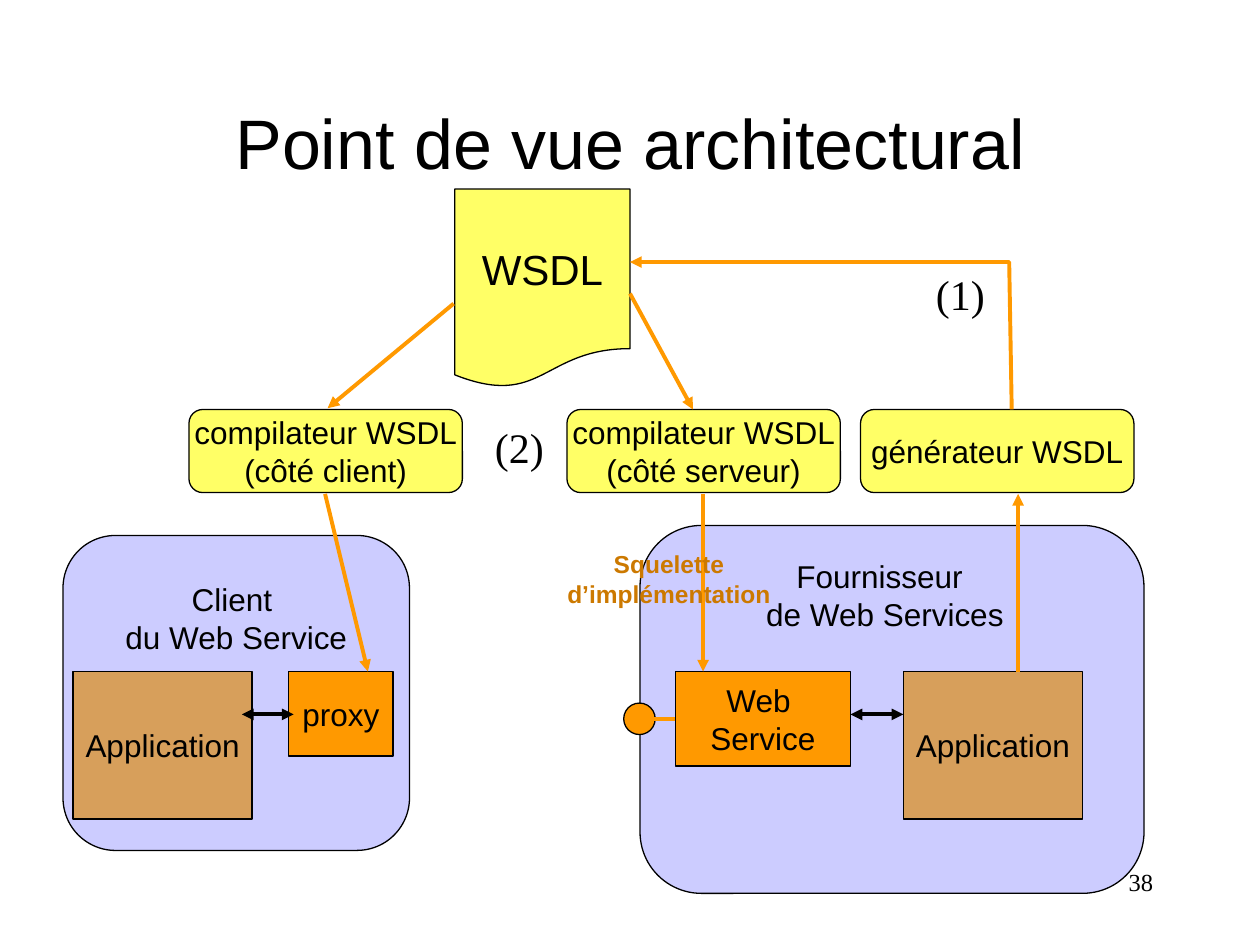
from typing import NamedTuple

from lxml.etree import SubElement
from pptx import Presentation
from pptx.dml.color import RGBColor
from pptx.enum.shapes import MSO_CONNECTOR, MSO_SHAPE as Shape
from pptx.enum.text import MSO_ANCHOR as Anchor, PP_ALIGN as Align
from pptx.oxml.ns import qn
from pptx.util import Inches, Pt

COLORS = {
    "black": "000000", "yellow": "FFFF66", "lavender": "CCCCFF",
    "orange": "FF9900", "tan": "D79F5B", "dark_orange": "CC7900",
}
SERIF = "Times New Roman"


class Node(NamedTuple):
    kind: Shape
    left: float
    top: float
    width: float
    height: float
    fill: str
    text: str = ""
    size: int = 18
    top_inset: float | None = None  # set: text starts at the top of the shape
    indents: tuple[float, ...] = ()  # set: left-aligned, one indent per paragraph


class Arrow(NamedTuple):
    start: tuple[float, float]
    end: tuple[float, float]
    color: str = "orange"
    heads: tuple[str, ...] = ("tailEnd",)


class Label(NamedTuple):
    left: float
    top: float
    width: float
    height: float
    text: str
    size: int
    font: str = SERIF
    align: Align = Align.LEFT
    anchor: Anchor = Anchor.TOP
    color: str = "black"
    bold: bool = False


def compiler(left: float, text: str) -> Node:
    return Node(Shape.ROUNDED_RECTANGLE, left, 3.25, 2.17, 0.66, "yellow", text)


def application(left: float) -> Node:
    return Node(Shape.RECTANGLE, left, 5.33, 1.42, 1.17, "tan", "Application")


NODES = [
    Node(Shape.FLOWCHART_DOCUMENT, 3.61, 1.5, 1.39, 1.58, "yellow", "WSDL", 24),
    Node(Shape.ROUNDED_RECTANGLE, 0.5, 4.25, 2.75, 2.5, "lavender",
         "Client \ndu Web Service", top_inset=0.23),
    Node(Shape.RECTANGLE, 2.29, 5.33, 0.83, 0.67, "orange", "proxy"),
    application(0.58),
    Node(Shape.ROUNDED_RECTANGLE, 5.08, 4.17, 4, 2.92, "lavender",
         "Fournisseur\nde Web Services", top_inset=0.11, indents=(1, 0.76)),
    Node(Shape.RECTANGLE, 5.36, 5.33, 1.39, 0.75, "orange", "Web \vService"),
    Node(Shape.OVAL, 4.95, 5.58, 0.25, 0.25, "orange"),
    application(7.17),
    compiler(1.5, "compilateur WSDL\v(côté client)"),
    compiler(4.5, "compilateur WSDL\v(côté serveur)"),
    compiler(6.83, "générateur WSDL"),
]

BOTH_ENDS = ("headEnd", "tailEnd")
ARROWS = [
    Arrow((5.17, 5.71), (5.36, 5.71), heads=()),
    Arrow((6.75, 5.67), (7.17, 5.67), "black", BOTH_ENDS),
    Arrow((1.92, 5.67), (2.33, 5.67), "black", BOTH_ENDS),
    Arrow((3.6, 2.41), (2.6, 3.24)),
    Arrow((5, 2.33), (5.5, 3.25)),
    Arrow((2.58, 3.92), (2.92, 5.33)),
    Arrow((5.58, 3.92), (5.58, 5.33)),
    Arrow((8.08, 5.33), (8.08, 3.92)),
]
GENERATOR_TO_WSDL = [(8.03, 3.25), (8.01, 2.08), (5, 2.08)]

LABELS = [
    Label(0.75, 0.5, 8.5, 1.25, "Point de vue architectural", 40, "Arial",
          Align.CENTER, Anchor.MIDDLE),
    Label(7.17, 6.83, 2.08, 0.5, "38", 14, align=Align.RIGHT),
    Label(4.31, 4.31, 2, 0.57, "Squelette\nd’implémentation", 14, "Arial",
          Align.CENTER, color="dark_orange", bold=True),
    Label(3.83, 3.3, 0.75, 0.5, "(2)", 24),
    Label(7.33, 2.08, 0.83, 0.5, "(1)", 24),
]


def rgb(name: str) -> RGBColor:
    return RGBColor.from_string(COLORS[name])


def write(frame, text: str, *, size: int, font: str = "Arial", color: str = "black",
          bold: bool = False, align: Align = Align.CENTER,
          anchor: Anchor = Anchor.MIDDLE, wrap: bool = True) -> None:
    frame.text = text
    frame.word_wrap = wrap
    frame.vertical_anchor = anchor
    for paragraph in frame.paragraphs:
        paragraph.alignment = align
        for run in paragraph.runs:
            run.font.name = font
            run.font.size = Pt(size)
            run.font.bold = bold
            run.font.color.rgb = rgb(color)


def style_line(shape, color: str, heads: tuple[str, ...]) -> None:
    shape.line.color.rgb = rgb(color)
    shape.line.width = Pt(2.25)
    outline = shape.line._get_or_add_ln()
    for head in heads:
        SubElement(outline, qn(f"a:{head}"), type="triangle")


def draw_node(slide, node: Node) -> None:
    shape = slide.shapes.add_shape(node.kind, *map(Inches, node[1:5]))
    shape.shadow.inherit = False
    shape.fill.solid()
    shape.fill.fore_color.rgb = rgb(node.fill)
    shape.line.color.rgb = rgb("black")
    shape.line.width = Pt(0.75)
    if not node.text:
        return
    frame = shape.text_frame
    container = node.top_inset is not None
    write(frame, node.text, size=node.size, wrap=container,
          anchor=Anchor.TOP if container else Anchor.MIDDLE,
          align=Align.LEFT if node.indents else Align.CENTER)
    if container:
        frame.margin_top = Inches(node.top_inset)
    for paragraph, indent in zip(frame.paragraphs, node.indents):
        paragraph._p.get_or_add_pPr().set("marL", str(Inches(indent)))


def draw_arrow(slide, arrow: Arrow) -> None:
    connector = slide.shapes.add_connector(
        MSO_CONNECTOR.STRAIGHT, *map(Inches, arrow.start + arrow.end))
    style_line(connector, arrow.color, arrow.heads)
    SubElement(connector._element.spPr, qn("a:effectLst"))


def draw_bent_arrow(slide, points: list[tuple[float, float]]) -> None:
    start, *rest = [(Inches(x), Inches(y)) for x, y in points]
    builder = slide.shapes.build_freeform(*start)
    builder.add_line_segments(rest, close=False)
    shape = builder.convert_to_shape()
    shape.shadow.inherit = False
    shape.fill.background()
    style_line(shape, "orange", ("tailEnd",))


def draw_label(slide, label: Label) -> None:
    box = slide.shapes.add_textbox(*map(Inches, label[:4]))
    write(box.text_frame, label.text, size=label.size, font=label.font,
          color=label.color, bold=label.bold, align=label.align,
          anchor=label.anchor)


def main() -> None:
    presentation = Presentation()
    presentation.slide_width, presentation.slide_height = Inches(10), Inches(7.5)
    slide = presentation.slides.add_slide(presentation.slide_layouts[6])
    for node in NODES:
        draw_node(slide, node)
    for arrow in ARROWS:
        draw_arrow(slide, arrow)
    draw_bent_arrow(slide, GENERATOR_TO_WSDL)
    for label in LABELS:
        draw_label(slide, label)
    presentation.save("out.pptx")


if __name__ == "__main__":
    main()
